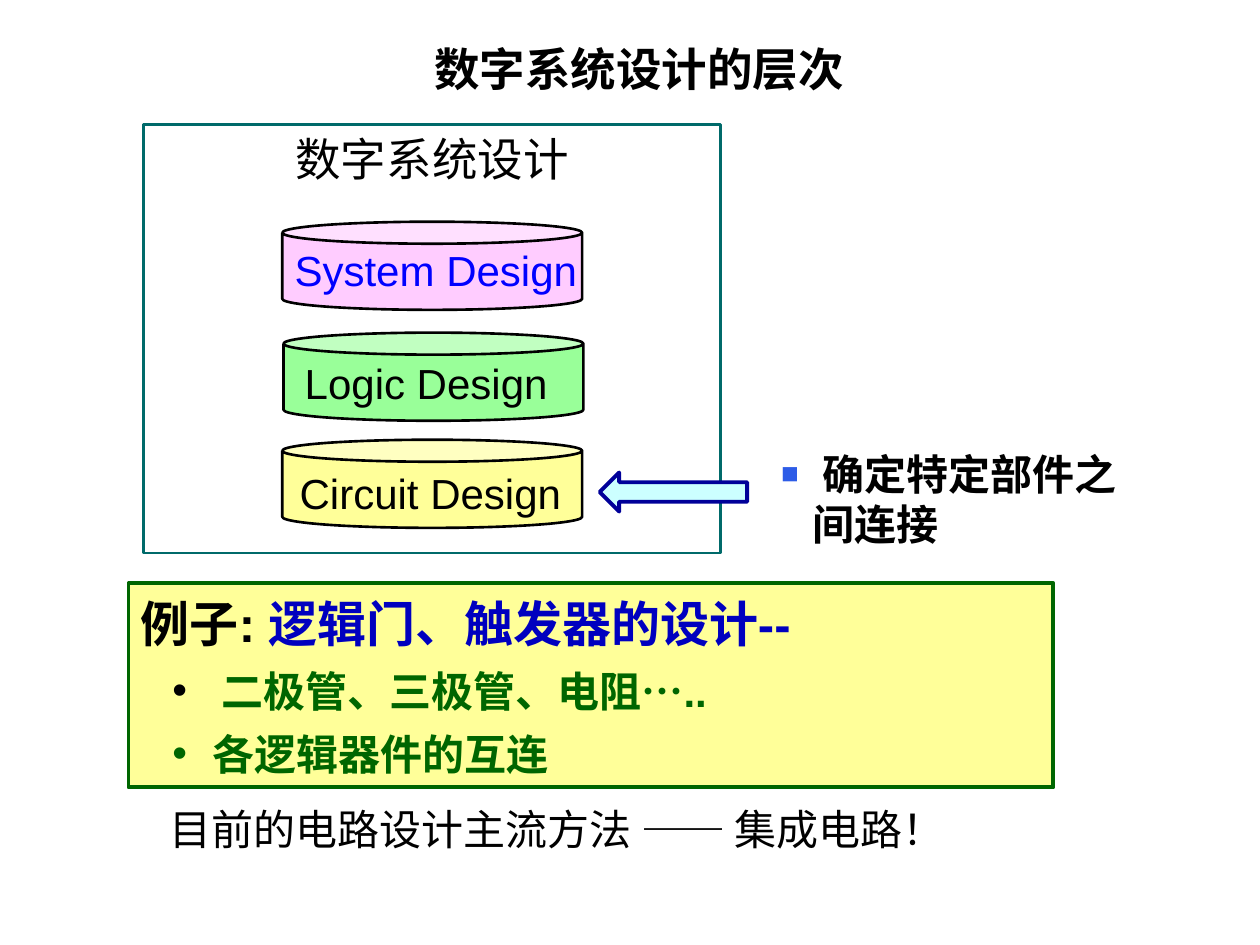
"""Build the slide on the levels of digital system design."""
from lxml.etree import SubElement
from pptx import Presentation
from pptx.dml.color import RGBColor
from pptx.enum.shapes import MSO_SHAPE
from pptx.enum.text import MSO_ANCHOR, PP_ALIGN
from pptx.oxml.ns import qn
from pptx.util import Inches, Pt

BLACK, GREEN = "000000", "006600"
TITLE = "数字系统设计的层次 "
FRAME = "数字系统设计"
NOTE = " 确定特定部件之间连接"
END = "目前的电路设计主流方法 —— 集成电路！"
LEVELS = [
    ("System Design", "FFCCFF", "0000FF", (2.24, 1.76), (2.24, 1.89, 2.46, 0.51)),
    ("Logic Design", "99FF99", BLACK, (2.25, 2.64), (2.32, 2.79, 2.31, 0.51)),
    ("Circuit Design", "FFFF99", BLACK, (2.24, 3.49), (2.28, 3.66, 2.46, 0.51)),
]
LEAD = [("例子: ", BLACK), ("逻辑门、触发器的设计--", "0000BF")]
ITEMS = [("二极管、三极管、电阻…..", BLACK, 0.64), ("各逻辑器件的互连", GREEN, 0.57)]
START = 0.25


def tint(text):
    return RGBColor.from_string(text)


def put(item, **vals):
    for name, val in vals.items():
        setattr(item, name, val)


def write(para, text, size=24, color=BLACK, bold=False, face="Arial"):
    run = para.add_run()
    run.text = text
    put(run.font, size=Pt(size), bold=bold, name=face)
    run.font.color.rgb = tint(color)


def mark(para, sign, color, left, hang, size=100):
    props = para._p.get_or_add_pPr()
    props.set("marL", str(Inches(left)))
    props.set("indent", str(-Inches(hang)))
    hue = SubElement(props, qn("a:buClr"))
    SubElement(hue, qn("a:srgbClr"), val=color)
    SubElement(props, qn("a:buSzPct"), val=str(size * 1000))
    SubElement(props, qn("a:buFont"), typeface="Arial")
    SubElement(props, qn("a:buChar"), char=sign)


def label(slide, place):
    frame = slide.shapes.add_textbox(*map(Inches, place)).text_frame
    frame.word_wrap = True
    return frame.paragraphs[0]


def draw(slide, kind, place, fill, line, width):
    shape = slide.shapes.add_shape(kind, *map(Inches, place))
    shape.shadow.inherit = False
    if fill:
        shape.fill.solid()
        shape.fill.fore_color.rgb = tint(fill)
    else:
        shape.fill.background()
    shape.line.color.rgb = tint(line)
    shape.line.width = Pt(width)
    put(shape.text_frame, word_wrap=True, vertical_anchor=MSO_ANCHOR.TOP)
    return shape


def main():
    deck = Presentation()
    put(deck, slide_width=Inches(10), slide_height=Inches(7.5))
    slide = deck.slides.add_slide(deck.slide_layouts[6])

    para = label(slide, (6.1, 3.51, 2.89, 0.91))
    mark(para, "■", "2D5CE7", START, START, 70)
    write(para, NOTE, bold=True)
    write(label(slide, (1.25, 6.33, 6.95, 0.51)), END)

    frame = draw(slide, MSO_SHAPE.RECTANGLE, (1.14, 0.99, 4.58, 3.4), None, "006A6A", 1.5)
    para = frame.text_frame.paragraphs[0]
    para.alignment = PP_ALIGN.CENTER
    write(para, FRAME, 26, face="Times New Roman")

    for text, fill, color, spot, place in LEVELS:
        draw(slide, MSO_SHAPE.CAN, (*spot, 2.38, 0.7), fill, BLACK, 1.5)
        write(label(slide, place), text, color=color)

    draw(slide, MSO_SHAPE.LEFT_ARROW, (4.76, 3.75, 1.17, 0.31), "CCFFFF", "000099", 2.25)

    box = draw(slide, MSO_SHAPE.RECTANGLE, (1.02, 4.63, 7.34, 1.62), "FFFF99", GREEN, 2.25)
    para = box.text_frame.paragraphs[0]
    for text, color in LEAD:
        write(para, text, 28, color, True)
    for text, color, left in ITEMS:
        para = box.text_frame.add_paragraph()
        para.level = 1
        mark(para, "•", color, left, left - START)
        write(para, text, color=GREEN, bold=True)
    for para in box.text_frame.paragraphs:
        put(para, alignment=PP_ALIGN.LEFT, line_spacing=Pt(36))

    para = label(slide, (1.06, 0.28, 8.11, 0.54))
    para.alignment = PP_ALIGN.CENTER
    write(para, TITLE, 26, bold=True)
    deck.save("out.pptx")


if __name__ == "__main__":
    main()
